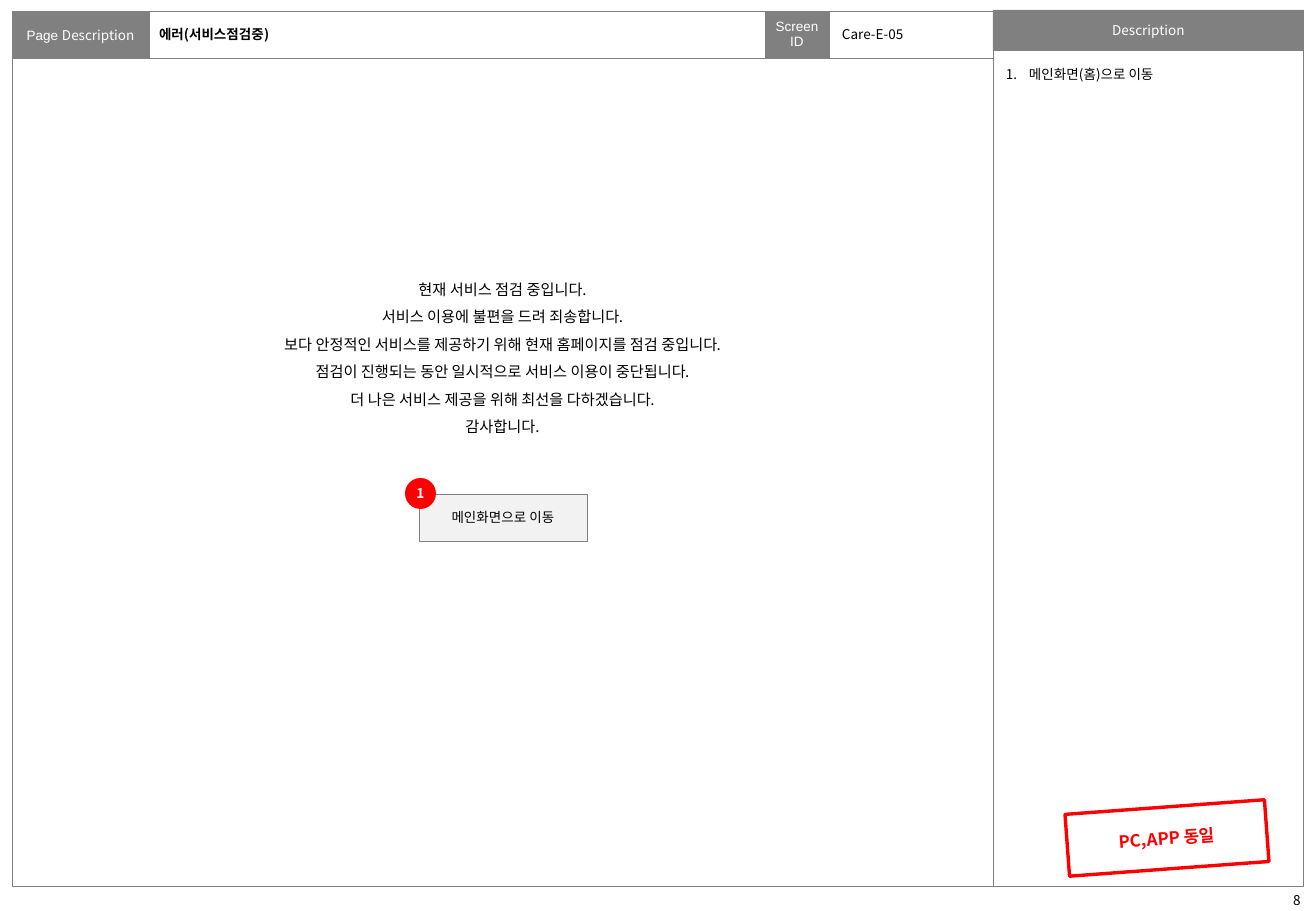
from lxml.etree import SubElement
from pptx import Presentation
from pptx.dml.color import RGBColor
from pptx.enum.shapes import MSO_SHAPE as Shape
from pptx.enum.text import MSO_ANCHOR as Anchor, PP_ALIGN as Align
from pptx.oxml.ns import qn
from pptx.util import Emu, Pt

SCALE = 914400 / 121.5
FONT = "Noto Sans CJK KR"
GRAY, RED, WHITE, BLACK = "808080", "FF0000", "FFFFFF", "000000"
NOTICE = [
    "현재 서비스 점검 중입니다.",
    "서비스 이용에 불편을 드려 죄송합니다.",
    "보다 안정적인 서비스를 제공하기 위해 현재 홈페이지를 점검 중입니다.",
    "점검이 진행되는 동안 일시적으로 서비스 이용이 중단됩니다.",
    "더 나은 서비스 제공을 위해 최선을 다하겠습니다.",
    "감사합니다.",
]


def px(length):
    """Turn pixels into EMU."""
    return Emu(round(length * SCALE))


def rgb(color):
    """Turn a hex string into a colour."""
    return RGBColor.from_string(color)


def add_span(para, text, size=8, color=BLACK, bold=False, font=FONT):
    """Append formatted text to a paragraph."""
    span = para.add_run()
    span.text = text
    span.font.size, span.font.bold, span.font.name = Pt(size), bold, font
    span.font.color.rgb = rgb(color)
    SubElement(span.font._element, qn("a:ea"), typeface=font)


def write(frame, lines, align=Align.CENTER, anchor=Anchor.MIDDLE,
          inset=(12, 6), spacing=None, wrap=True, **style):
    """Fill a text frame with one paragraph per line."""
    frame.word_wrap, frame.vertical_anchor = wrap, anchor
    frame.margin_left = frame.margin_right = px(inset[0])
    frame.margin_top = frame.margin_bottom = px(inset[1])
    for index, line in enumerate(lines):
        para = frame.add_paragraph() if index else frame.paragraphs[0]
        para.alignment = align
        if spacing:
            para.line_spacing = Pt(spacing)
        add_span(para, line, **style)


def add_text(page, box, lines, **style):
    """Add a text box."""
    frame = page.shapes.add_textbox(*map(px, box)).text_frame
    write(frame, lines, **style)
    return frame


def add_block(page, box, kind=Shape.RECTANGLE, fill=None, line=None, weight=0.25):
    """Add a preset shape without shadow."""
    block = page.shapes.add_shape(kind, *map(px, box))
    block.shadow.inherit = False
    if fill:
        block.fill.solid()
        block.fill.fore_color.rgb = rgb(fill)
    else:
        block.fill.background()
    if line:
        block.line.color.rgb = rgb(line)
        block.line.width = Pt(weight)
    else:
        block.line.fill.background()
    return block


def style_cell(cell, fill):
    """Fill a table cell and draw its thin gray borders."""
    props = cell._tc.get_or_add_tcPr()
    for side in ("lnL", "lnR", "lnT", "lnB"):
        border = SubElement(props, qn(f"a:{side}"), w=str(Pt(0.25)))
        solid = SubElement(border, qn("a:solidFill"))
        SubElement(solid, qn("a:srgbClr"), val=GRAY)
    cell.fill.solid()
    cell.fill.fore_color.rgb = rgb(fill)


def draw_header(page, box, title, screen_id):
    """Draw the header table with the page title and screen ID."""
    left, top, width, height = box
    table = page.shapes.add_table(1, 4, *map(px, box)).table
    widths = (137, 616, 64, width - 817)
    for index, column_width in enumerate(widths):
        table.columns[index].width = px(column_width)
        cell = table.cell(0, index)
        style_cell(cell, WHITE if index % 2 else GRAY)
        cell.vertical_anchor = Anchor.MIDDLE
        cell.margin_left = cell.margin_right = px(5)
        cell.margin_top = cell.margin_bottom = px(5)
    for index, label in ((0, "Page "), (2, "Screen ID")):
        para = table.cell(0, index).text_frame.paragraphs[0]
        para.alignment = Align.CENTER
        add_span(para, label, color=WHITE, font="Arial")
    add_span(table.cell(0, 0).text_frame.paragraphs[0], "Description", color=WHITE)
    add_text(page, (left + 142, top + 5, 609, 36), [title],
             align=Align.LEFT, inset=(5, 6), bold=True)
    add_text(page, (left + 818, top + 5, 158, 36), [screen_id], align=Align.LEFT)


def draw_screen(page, box):
    """Draw the screen area with its notice, button and marker."""
    left, top, width, height = box
    add_block(page, box, line=GRAY)
    add_text(page, (left, top + 207, width, 174), NOTICE,
             anchor=Anchor.TOP, spacing=16.3, size=9)
    button = add_block(page, (left + 407, top + 436, 168, 47), fill="F2F2F2", line=GRAY)
    write(button.text_frame, ["메인화면으로 이동"])
    marker = add_block(page, (left + 393, top + 420, 31, 31), Shape.OVAL, fill=RED)
    write(marker.text_frame, ["1"], inset=(0, 0), wrap=False, color=WHITE, bold=True)


def draw_description(page, box, items):
    """Draw the description panel with its numbered items and stamp."""
    left, top, width, height = box
    add_block(page, (left, top + 37, width, height - 37), line=GRAY)
    heading = add_block(page, (left, top, width + 1, 41), fill=GRAY)
    write(heading.text_frame, ["Description"], inset=(0, 0), wrap=False, color=WHITE)
    frame = add_text(page, (left + 1, top + 42, width - 1, height - 42), items,
                     align=Align.LEFT, anchor=Anchor.TOP, spacing=14.4)
    for para in frame.paragraphs:
        props = para._p.get_or_add_pPr()
        props.set("marL", str(px(23)))
        props.set("indent", str(px(-23)))
        SubElement(props, qn("a:buFont"), typeface="+mj-lt")
        SubElement(props, qn("a:buAutoNum"), type="arabicPeriod")
    stamp = add_block(page, (left + 74, top + 797, 200, 62), fill=WHITE, line=RED, weight=2)
    SubElement(stamp.line._get_or_add_ln(), qn("a:round"))
    stamp.rotation = -4.2
    write(stamp.text_frame, ["PC,APP 동일"], size=10, color=RED, bold=True)


def build():
    """Build and save the deck."""
    deck = Presentation()
    deck.slide_width, deck.slide_height = px(1316), px(911)
    page = deck.slides.add_slide(deck.slide_layouts[6])
    draw_header(page, (12, 11, 981, 42), "에러(서비스점검중)", "Care-E-05")
    draw_screen(page, (12, 58, 981, 828))
    draw_description(page, (993, 10, 310, 876), ["메인화면(홈)으로 이동"])
    add_text(page, (1276, 886, 42, 24), ["8"], anchor=Anchor.TOP)
    deck.save("out.pptx")


build()
